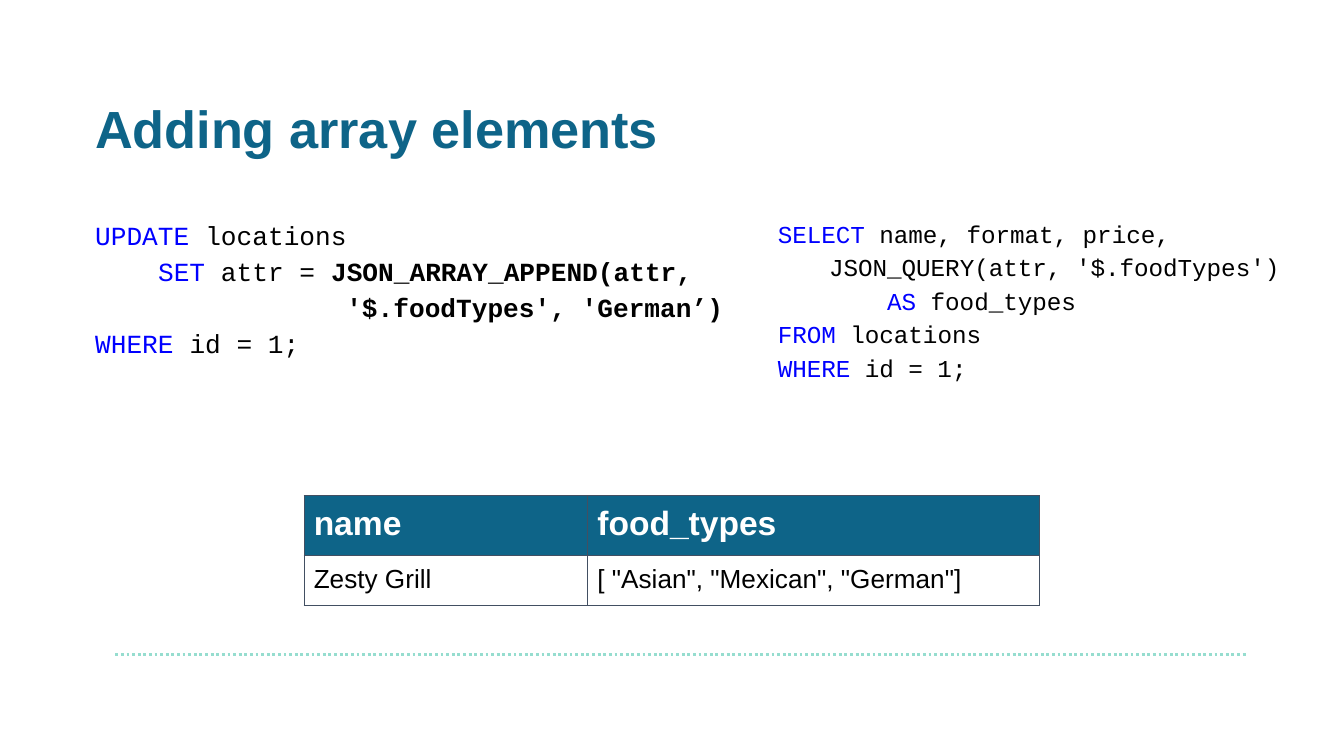
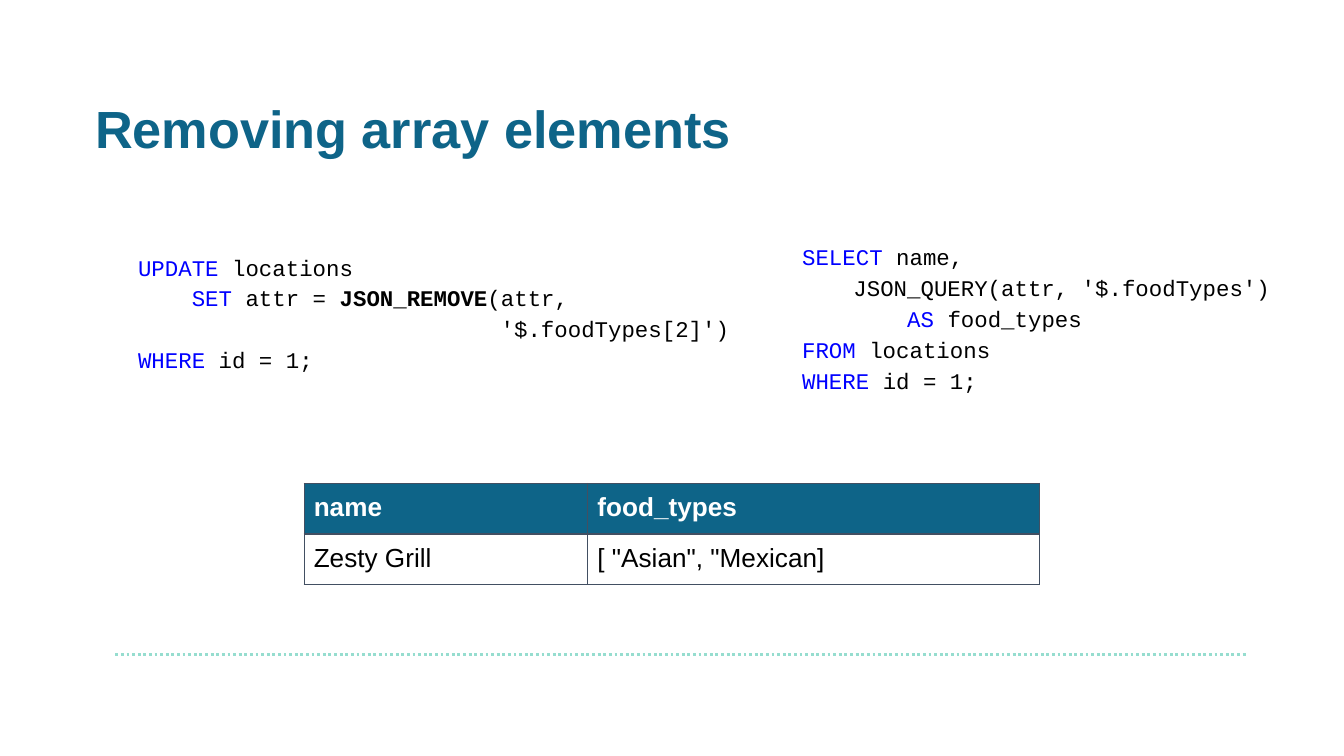
import pptx
import pptx.dml.color
import pptx.enum.dml
import pptx.enum.shapes
import pptx.oxml
import pptx.oxml.ns
import pptx.util

Cm = pptx.util.Cm
Pt = pptx.util.Pt
RGBColor = pptx.dml.color.RGBColor

TEAL = RGBColor(0x0E, 0x64, 0x88)
MINT = RGBColor(0x96, 0xDD, 0xCF)
SLATE = RGBColor(0x42, 0x4F, 0x62)
KEYWORD_BLUE = RGBColor(0x00, 0x00, 0xFF)
BLACK = RGBColor(0x00, 0x00, 0x00)
WHITE = RGBColor(0xFF, 0xFF, 0xFF)

KEYWORDS = {"UPDATE", "SET", "WHERE", "SELECT", "AS", "FROM"}
BOLD_CODE = {
    "JSON_ARRAY_APPEND(attr,",
    "                '$.foodTypes', 'German’)",
    "JSON_REMOVE",
}
QUERY_INDENT = Cm(0.97)
TEXT_INSET = Cm(0.25)
CELL_INSET = Cm(0.18)

# Each code line is (first-line indent, runs).
UPDATE_START = (0, ["UPDATE ", "locations"])
UPDATE_END = (0, ["WHERE", " id = 1;"])
QUERY_REST = [
    (QUERY_INDENT, ["JSON_QUERY(attr, '$.foodTypes')"]),
    (QUERY_INDENT, ["    ", "AS ", "food_types"]),
    (0, ["FROM ", "locations"]),
    (0, ["WHERE ", "id = 1;"]),
]

# Code blocks are (left, top, width, height in cm, text size, lines).
slides = [
    {
        "title": "Adding array elements",
        "code": [
            (1.55, 3.81, 12.6, 3.84, 14, [
                UPDATE_START,
                (0, ["    ", "SET", " attr = ", "JSON_ARRAY_APPEND(attr,"]),
                (0, ["                '$.foodTypes', 'German’)"]),
                UPDATE_END,
            ]),
            (14.45, 3.81, 10.62, 4.9, 13,
             [(0, ["SELECT", " name, format, price,"])] + QUERY_REST),
        ],
        "table_top": 9.37,
        "header_size": 18,
        "food_types": '[ "Asian", "Mexican", "German"]',
    },
    {
        "title": "Removing array elements",
        "code": [
            (2.36, 4.47, 11.79, 3.66, 12, [
                UPDATE_START,
                (0, ["    ", "SET", " attr = ", "JSON_REMOVE", "(attr,"]),
                (0, ["                           '$.foodTypes[2]')"]),
                UPDATE_END,
            ]),
            (14.91, 4.27, 9.73, 3.78, 12,
             [(0, ["SELECT", " name,"])] + QUERY_REST),
        ],
        "table_top": 9.14,
        "header_size": 14,
        "food_types": '[ "Asian", "Mexican]',
    },
]


def add_run(paragraph, text, font_name, size, color, bold=False):
    run = paragraph.add_run()
    run.text = text
    run.font.name = font_name
    run.font.size = Pt(size)
    run.font.color.rgb = color
    run.font.bold = bold


def add_text_frame(slide, left, top, width, height):
    """Add a wrapping text box and return its text frame."""
    frame = slide.shapes.add_textbox(Cm(left), Cm(top), Cm(width), Cm(height)).text_frame
    frame.word_wrap = True
    frame.margin_left = frame.margin_right = TEXT_INSET
    frame.margin_top = frame.margin_bottom = TEXT_INSET
    return frame


prs = pptx.Presentation()
prs.slide_width = Cm(25.4)
prs.slide_height = Cm(14.29)

for content in slides:
    slide = prs.slides.add_slide(prs.slide_layouts[6])
    slide.background.fill.solid()
    slide.background.fill.fore_color.rgb = WHITE

    footer_rule = slide.shapes.add_connector(
        pptx.enum.shapes.MSO_CONNECTOR.STRAIGHT, Cm(2.18), Cm(12.37), Cm(23.55), Cm(12.37))
    footer_rule.line.color.rgb = MINT
    footer_rule.line.width = Pt(1.5)
    footer_rule.line.dash_style = pptx.enum.dml.MSO_LINE.ROUND_DOT
    footer_rule.line._get_or_add_ln().getparent().append(
        pptx.oxml.parse_xml("<a:effectLst %s/>" % pptx.oxml.ns.nsdecls("a")))

    title = add_text_frame(slide, 1.55, 1.57, 21.69, 1.6)
    add_run(title.paragraphs[0], content["title"], "Arial", 28, TEAL, True)

    for left, top, width, height, size, lines in content["code"]:
        code = add_text_frame(slide, left, top, width, height)
        for number, (indent, runs) in enumerate(lines):
            line = code.add_paragraph() if number else code.paragraphs[0]
            line.line_spacing = 1.15
            if indent:
                line._p.get_or_add_pPr().set("indent", str(int(indent)))
            for text in runs:
                color = KEYWORD_BLUE if text.strip() in KEYWORDS else BLACK
                add_run(line, text, "Courier New", size, color, text in BOLD_CODE)

    rows = [["name", "food_types"], ["Zesty Grill", content["food_types"]]]
    results = slide.shapes.add_table(
        2, 2, Cm(5.75), Cm(content["table_top"]), Cm(13.9), Cm(1.58)).table
    results.columns[0].width = Cm(5.36)
    results.columns[1].width = Cm(8.54)
    for row, values in enumerate(rows):
        results.rows[row].height = Cm(0.79)
        for column, value in enumerate(values):
            cell = results.cell(row, column)
            cell.margin_left = cell.margin_right = CELL_INSET
            cell.margin_top = cell.margin_bottom = CELL_INSET
            entry = cell.text_frame.paragraphs[0]
            for side in ("lnL", "lnR", "lnT", "lnB"):
                cell._tc.get_or_add_tcPr().append(pptx.oxml.parse_xml(
                    '<a:%s %s w="%d"><a:solidFill><a:srgbClr val="%s"/></a:solidFill></a:%s>'
                    % (side, pptx.oxml.ns.nsdecls("a"), Pt(0.75), SLATE, side)))
            if row == 0:
                cell.fill.solid()
                cell.fill.fore_color.rgb = TEAL
                add_run(entry, value, "Arial", content["header_size"], WHITE, True)
            else:
                cell.fill.background()
                add_run(entry, value, "Arial", 14, BLACK)

prs.save("out.pptx")
